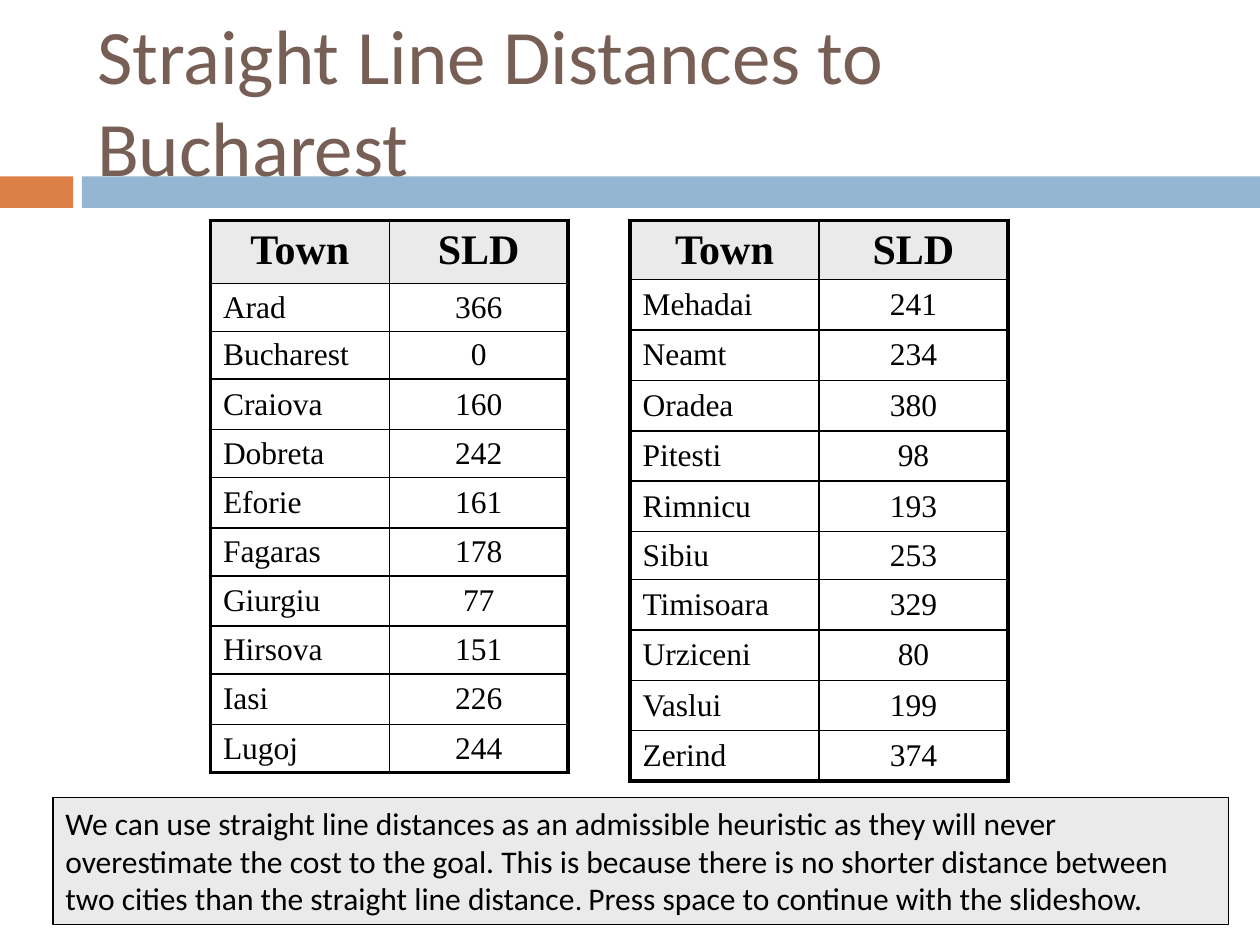
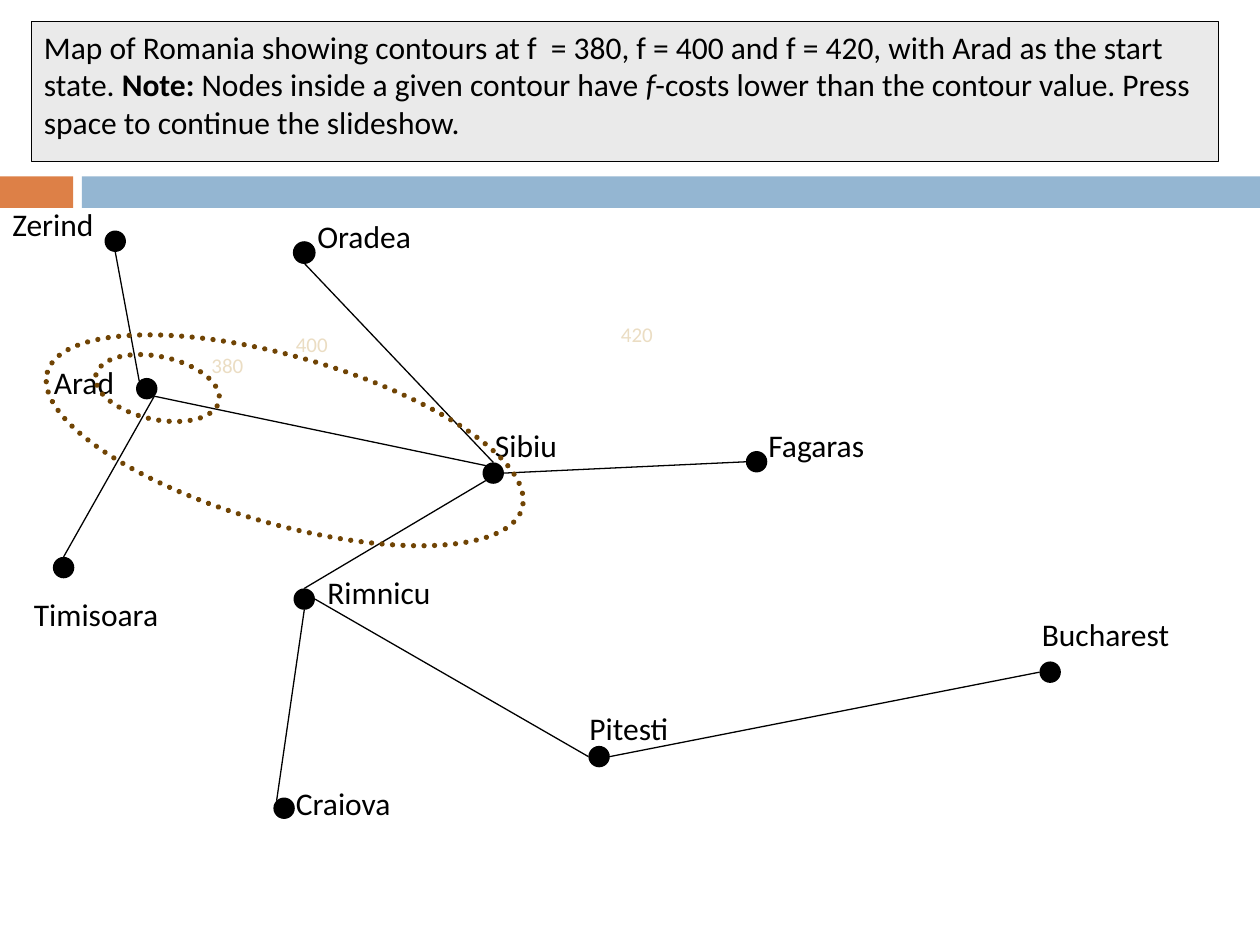
import lxml.etree
import pptx
import pptx.dml.color
import pptx.enum.dml
import pptx.enum.shapes
import pptx.enum.text
import pptx.oxml.ns
import pptx.util

Inches = pptx.util.Inches
Pt = pptx.util.Pt
RGBColor = pptx.dml.color.RGBColor
MSO_SHAPE = pptx.enum.shapes.MSO_SHAPE
PP_ALIGN = pptx.enum.text.PP_ALIGN
MSO_ANCHOR = pptx.enum.text.MSO_ANCHOR
qn = pptx.oxml.ns.qn

ORANGE = RGBColor(0xDD, 0x80, 0x47)
BLUE = RGBColor(0x94, 0xB6, 0xD2)
TITLE_BROWN = RGBColor(0x77, 0x5F, 0x55)
CONTOUR_BROWN = RGBColor(0x70, 0x44, 0x04)
SAND = RGBColor(0xEB, 0xDD, 0xC3)
GRAY = RGBColor(0xEA, 0xEA, 0xEA)
BLACK = RGBColor(0, 0, 0)

TITLE = {"name": "Calibri", "size": Pt(44)}
BODY = {"name": "Calibri", "size": Pt(18)}
CONTOUR_LABEL = {"name": "Calibri", "size": Pt(12)}
TABLE_HEAD = {"name": "Times New Roman", "size": Pt(24), "bold": True}
TABLE_BODY = {"name": "Times New Roman", "size": Pt(18), "bold": False}


def write(text_frame, runs, font_format, color=BLACK, alignment=PP_ALIGN.LEFT):
    text_frame.word_wrap = True
    paragraph = text_frame.paragraphs[0]
    paragraph.alignment = alignment
    for text, changes in runs:
        run = paragraph.add_run()
        run.text = text
        run.font.color.rgb = color
        for attribute, value in {**font_format, **changes}.items():
            setattr(run.font, attribute, value)


def draw(slide, kind, box, fill=None, line=None, width=0.75):
    shape = slide.shapes.add_shape(kind, *[Inches(length) for length in box])
    shape.shadow.inherit = False
    if fill is None:
        shape.fill.background()
    else:
        shape.fill.solid()
        shape.fill.fore_color.rgb = fill
    if line is None:
        shape.line.fill.background()
    else:
        shape.line.color.rgb = line
        shape.line.width = Pt(width)
    return shape


presentation = pptx.Presentation()
presentation.slide_width = Inches(10)
presentation.slide_height = Inches(7.5)
distance_slide = presentation.slides.add_slide(presentation.slide_layouts[5])
map_slide = presentation.slides.add_slide(presentation.slide_layouts[6])

bands = [(0, 0.58, ORANGE), (0.65, 9.35, BLUE)]
for number, (left, width, color) in enumerate(bands, start=20):
    band = draw(distance_slide, MSO_SHAPE.RECTANGLE, (left, 1.4, width, 0.25), color)
    band.element.nvSpPr.cNvPr.set("id", str(number))
    presentation.slide_master.shapes.element.append(band.element)

title = distance_slide.shapes.title
title_box = {"left": 0.67, "top": 0.25, "width": 8.92, "height": 1.08}
for attribute, value in title_box.items():
    setattr(title, attribute, Inches(value))
title.text_frame.auto_size = pptx.enum.text.MSO_AUTO_SIZE.NONE
title.text_frame.vertical_anchor = MSO_ANCHOR.MIDDLE
write(title.text_frame, [("Straight Line Distances to Bucharest", {})], TITLE, TITLE_BROWN)

distance_tables = [
    (1.67, 1.42, [0.5, 0.38, 0.38] + [0.4, 0.38] * 4,
     [("Arad", 366), ("Bucharest", 0), ("Craiova", 160), ("Dobreta", 242), ("Eforie", 161),
      ("Fagaras", 178), ("Giurgiu", 77), ("Hirsova", 151), ("Iasi", 226), ("Lugoj", 244)]),
    (5, 1.5, [0.46] + [0.4] * 5 + [0.38] + [0.4] * 4,
     [("Mehadai", 241), ("Neamt", 234), ("Oradea", 380), ("Pitesti", 98), ("Rimnicu", 193),
      ("Sibiu", 253), ("Timisoara", 329), ("Urziceni", 80), ("Vaslui", 199), ("Zerind", 374)]),
]
for left, column_width, row_heights, distances in distance_tables:
    rows = [("Town", "SLD")] + distances
    table = distance_slide.shapes.add_table(
        len(rows), 2, Inches(left), Inches(1.75),
        Inches(2 * column_width), Inches(sum(row_heights))).table
    table.first_row = False
    table.horz_banding = False
    for column in table.columns:
        column.width = Inches(column_width)
    for row_index, row in enumerate(rows):
        table.rows[row_index].height = Inches(row_heights[row_index])
        is_head = row_index == 0
        for column_index, value in enumerate(row):
            cell = table.cell(row_index, column_index)
            outer_edges = {
                "a:lnL": column_index == 0,
                "a:lnR": column_index == 1,
                "a:lnT": is_head,
                "a:lnB": row_index == len(rows) - 1,
            }
            properties = cell._tc.get_or_add_tcPr()
            for edge, is_outer in outer_edges.items():
                border = lxml.etree.SubElement(properties, qn(edge))
                border.set("w", str(Pt(2.25 if is_outer else 1)))
                border_fill = lxml.etree.SubElement(border, qn("a:solidFill"))
                lxml.etree.SubElement(border_fill, qn("a:srgbClr")).set("val", str(BLACK))
            if is_head:
                cell.fill.solid()
                cell.fill.fore_color.rgb = GRAY
            else:
                cell.fill.background()
            cell.vertical_anchor = MSO_ANCHOR.TOP if is_head else MSO_ANCHOR.MIDDLE
            centered = is_head or column_index == 1
            write(cell.text_frame, [(str(value), {})], TABLE_HEAD if is_head else TABLE_BODY,
                  alignment=PP_ALIGN.CENTER if centered else PP_ALIGN.LEFT)

towns = {
    "Bucharest": ((8.25, 5.25), (8.17, 4.83, 1.42)),
    "Fagaras": ((5.92, 3.58), (6, 3.33, 1.08)),
    "Pitesti": ((4.67, 5.92), (4.58, 5.58, 0.92)),
    "Sibiu": ((3.83, 3.67), (3.83, 3.33, 0.92)),
    "Rimnicu": ((2.33, 4.67), (2.5, 4.5, 1.17)),
    "Oradea": ((2.33, 1.92), (2.42, 1.67, 1.25)),
    "Arad": ((1.08, 3), (0.33, 2.83, 0.83)),
    "Timisoara": ((0.42, 4.42), (0.17, 4.67, 1.25)),
    "Craiova": ((2.17, 6.33), (2.25, 6.17, 1)),
    "Zerind": ((0.83, 1.83), (0, 1.58, 1)),
}
DOT = 0.17
for town, (dot, label) in towns.items():
    draw(map_slide, MSO_SHAPE.OVAL, (*dot, DOT, DOT), BLACK,
         BLACK if town == "Oradea" else None)

dot_sites = {
    "top": (0.5, 0), "bottom": (0.5, 1), "left": (0, 0.5), "right": (1, 0.5),
    "top left": (0.15, 0.15), "bottom left": (0.15, 0.85), "bottom right": (0.85, 0.85),
}
roads = [
    ("Pitesti", "right", "Bucharest", "left"),
    ("Sibiu", "right", "Fagaras", "left"),
    ("Rimnicu", "right", "Pitesti", "left"),
    ("Rimnicu", "top", "Sibiu", "bottom left"),
    ("Sibiu", "top", "Oradea", "bottom"),
    ("Craiova", "top left", "Rimnicu", "bottom"),
    ("Arad", "bottom right", "Sibiu", "top left"),
    ("Arad", "bottom right", "Timisoara", "top"),
    ("Zerind", "bottom", "Arad", "top left"),
]
for start, start_site, end, end_site in roads:
    ends = []
    for town, site in ((start, start_site), (end, end_site)):
        for corner, fraction in zip(towns[town][0], dot_sites[site]):
            ends.append(Inches(corner + DOT * fraction))
    road = map_slide.shapes.add_connector(pptx.enum.shapes.MSO_CONNECTOR.STRAIGHT, *ends)
    road.line.color.rgb = BLACK
    road.line.width = Pt(0.75)
    lxml.etree.SubElement(road.element.spPr, qn("a:effectLst"))

labels = [(town, *label, 0.4, BODY, BLACK) for town, (dot, label) in towns.items()]
for cost, left, top in (("380", 1.58, 2.75), ("400", 2.25, 2.58), ("420", 4.83, 2.5)):
    labels.append((cost, left, top, 0.5, 0.3, CONTOUR_LABEL, SAND))
for text, left, top, width, height, font_format, color in labels:
    text_box = map_slide.shapes.add_textbox(
        Inches(left), Inches(top), Inches(width), Inches(height))
    write(text_box.text_frame, [(text, {})], font_format, color)

contours = [((0.75, 2.83, 1, 0.5), 12), ((0.3, 2.83, 3.92, 1.33), 16)]
for box, rotation in contours:
    contour = draw(map_slide, MSO_SHAPE.OVAL, box, line=CONTOUR_BROWN, width=3)
    contour.rotation = rotation
    contour.line.dash_style = pptx.enum.dml.MSO_LINE.ROUND_DOT
    contour.element.spPr.find(qn("a:ln")).set("cap", "rnd")

notes = [
    (distance_slide, (0.42, 6.33, 9.33, 1.01), [
        ("We can use straight line distances as an admissible heuristic as they will never "
         "overestimate the cost to the goal. This is because there is no shorter distance "
         "between two cities than the straight line distance", {}),
        (". ", {"size": Pt(16)}),
        ("Press space to continue with the slideshow.", {}),
    ]),
    (map_slide, (0.25, 0.17, 9.42, 1.11), [
        ("Map of Romania showing contours at f  = 380, f = 400 and f = 420, "
         "with Arad as the start state. ", {}),
        ("Note:", {"bold": True}),
        (" Nodes inside a given contour have ", {}),
        ("f", {"italic": True}),
        ("-costs lower than the contour value. Press space to continue the slideshow.", {}),
    ]),
]
for slide, box, runs in notes:
    note = draw(slide, MSO_SHAPE.RECTANGLE, box, GRAY, BLACK)
    note.text_frame.vertical_anchor = MSO_ANCHOR.TOP
    write(note.text_frame, runs, BODY)

presentation.save("out.pptx")
